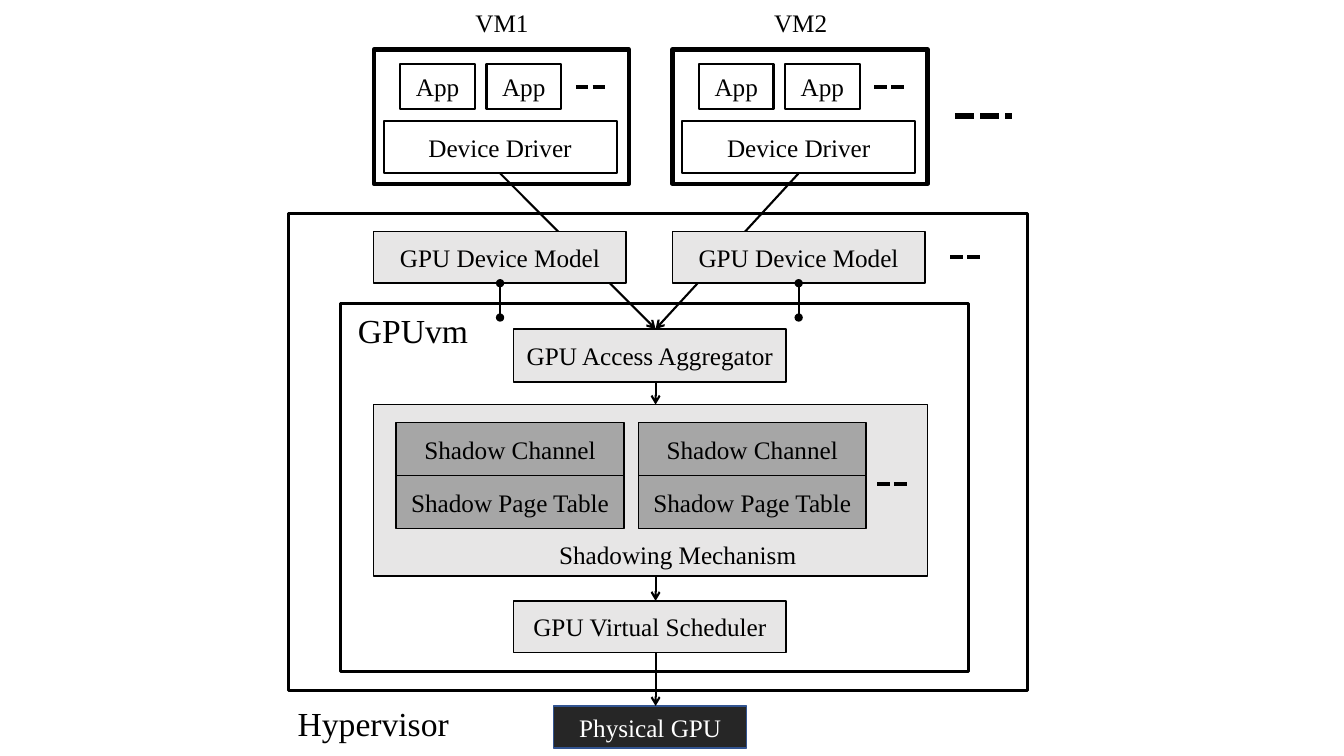
from lxml import etree
from pptx import Presentation
from pptx.dml.color import RGBColor
from pptx.enum.dml import MSO_LINE
from pptx.enum.shapes import MSO_CONNECTOR, MSO_SHAPE
from pptx.enum.text import MSO_ANCHOR, PP_ALIGN
from pptx.oxml.ns import qn
from pptx.util import Pt

COLORS = {
    "black": "000000",
    "white": "FFFFFF",
    "light": "E7E6E6",
    "mid": "A6A6A6",
    "dark": "262626",
    "blue": "325491",
}
FONT = "Times New Roman"

prs = Presentation()
prs.slide_width, prs.slide_height = Pt(960), Pt(540)
slide = prs.slides.add_slide(prs.slide_layouts[6])
shapes = slide.shapes


def add_box(x, y, w, h, text="", fill=None, line="black", weight=1.0, size=18, color="black"):
    if line:
        box = shapes.add_shape(MSO_SHAPE.RECTANGLE, Pt(x), Pt(y), Pt(w), Pt(h))
        box.shadow.inherit = False
        box.line.color.rgb = RGBColor.from_string(COLORS[line])
        box.line.width = Pt(weight)
        if fill:
            box.fill.solid()
            box.fill.fore_color.rgb = RGBColor.from_string(COLORS[fill])
        else:
            box.fill.background()
    else:
        box = shapes.add_textbox(Pt(x), Pt(y), Pt(w), Pt(h))
    if text:
        frame = box.text_frame
        frame.word_wrap = bool(line)
        frame.vertical_anchor = MSO_ANCHOR.MIDDLE if line else MSO_ANCHOR.TOP
        paragraph = frame.paragraphs[0]
        paragraph.alignment = PP_ALIGN.CENTER if line else PP_ALIGN.LEFT
        run = paragraph.add_run()
        run.text = text
        run.font.name = FONT
        run.font.size = Pt(size)
        run.font.color.rgb = RGBColor.from_string(COLORS[color])


def add_line(x1, y1, x2, y2, weight=1.5, head=None, tail=None, dotted=False):
    line = shapes.add_connector(MSO_CONNECTOR.STRAIGHT, Pt(x1), Pt(y1), Pt(x2), Pt(y2))
    line.line.color.rgb = RGBColor.from_string(COLORS["black"])
    line.line.width = Pt(weight)
    if dotted:
        line.line.dash_style = MSO_LINE.SQUARE_DOT
    ln = line.line._get_or_add_ln()
    for tag, kind in (("a:headEnd", head), ("a:tailEnd", tail)):
        if kind:
            etree.SubElement(ln, qn(tag)).set("type", kind)
    etree.SubElement(line._element.spPr, qn("a:effectLst"))


vm_left, vm_pitch, vm_width = 267, 213.3, 182.3
center_x = 468.3
columns = [vm_left, vm_left + vm_pitch]

for number, x in enumerate(columns, 1):
    add_box(x, 35.3, vm_width, 96, weight=3)
    for app in range(2):
        add_box(x + 19 + app * 61.5, 46, 53.3, 31.6, "App", weight=1.5)
    add_line(x + 144.3, 62, x + 167.3, 62, weight=3, dotted=True)
    add_box(x + 7, 86.4, 166.5, 37.3, "Device Driver", weight=1.5)
    add_box(x + 65.5, 1.5, 52.5, 29, f"VM{number}", line=None)
add_line(682, 82.8, 723, 82.8, weight=4.5, dotted=True)

add_box(206, 152.5, 528, 340.5, weight=2.25)
add_box(243, 216.7, 449, 263, weight=2.25)
add_box(367, 235, 194.5, 38, "GPU Access Aggregator", "light")

for x in columns:
    model_center = x + 90.2
    add_line(model_center, 123.8, center_x, 235, tail="arrow")
    add_box(x, 165.3, 180.3, 36.8, "GPU Device Model", "light")
    add_line(model_center, 202.3, model_center, 226.8, head="oval", tail="oval")
add_line(678.8, 183.6, 702, 183.6, weight=3, dotted=True)

add_box(vm_left, 289, 395.5, 122.5, fill="light")
for column in range(2):
    for row, text in enumerate(["Shadow Channel", "Shadow Page Table"]):
        add_box(283 + column * 173, 301.7 + row * 38, 162.7, 38, text, "mid")
add_line(626.5, 345.7, 650, 345.7, weight=3, dotted=True)
add_box(392.3, 381.5, 186, 29, "Shadowing Mechanism", line=None)

add_box(367, 429.2, 194.5, 36.8, "GPU Virtual Scheduler", "light")
add_box(395.5, 504.3, 138, 30, "Physical GPU", "dark", line="blue", color="white")
for top, bottom in ((273, 289), (411.5, 429.2), (466, 504.3)):
    add_line(center_x, top, center_x, bottom, tail="arrow")

add_box(248.5, 217.5, 94.3, 36.3, "GPUvm", line=None, size=24)
add_box(205.5, 498.5, 123.5, 36.3, "Hypervisor", line=None, size=24)

prs.save("out.pptx")
